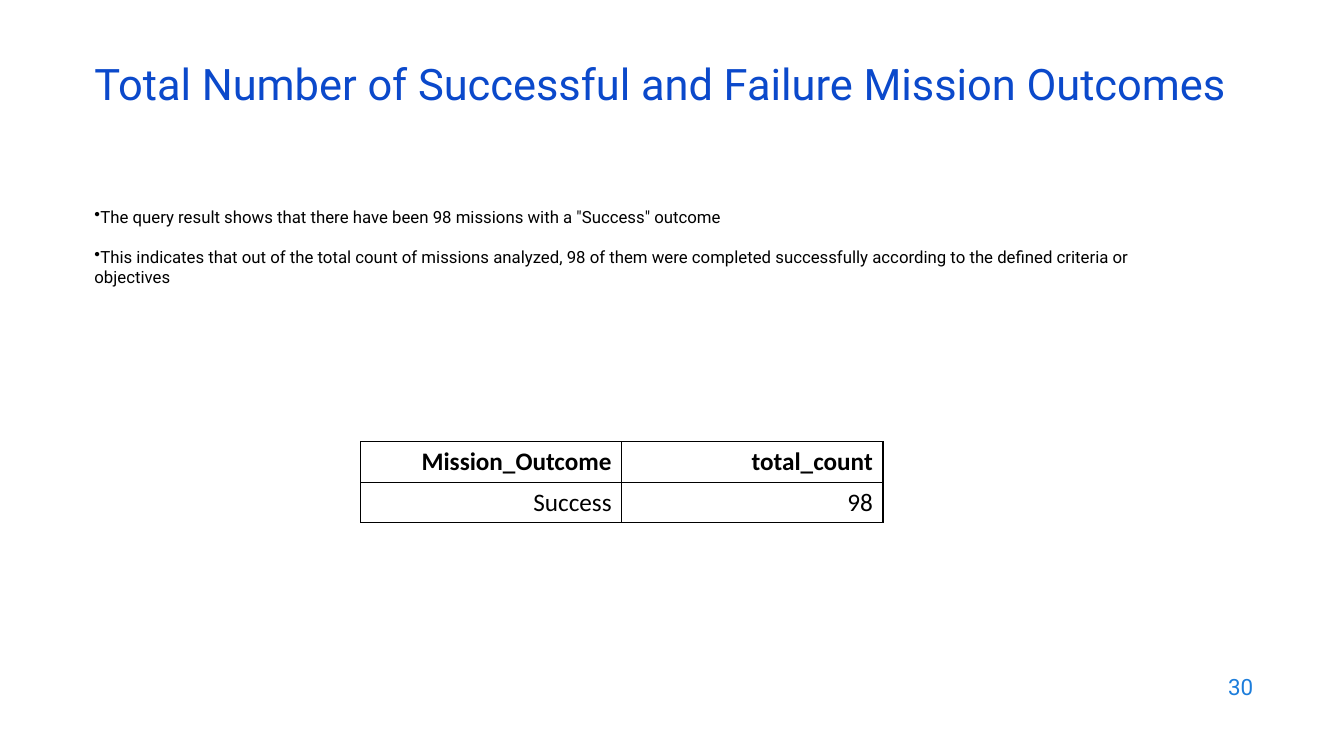
from dataclasses import dataclass

from lxml import etree
from pptx import Presentation
from pptx.dml.color import RGBColor
from pptx.enum.text import MSO_ANCHOR, PP_ALIGN
from pptx.oxml.ns import qn
from pptx.util import Cm, Pt

RIGHT = PP_ALIGN.RIGHT
TOP, MIDDLE = MSO_ANCHOR.TOP, MSO_ANCHOR.MIDDLE


@dataclass(frozen=True)
class Theme:
    text_font: str = "Roboto"
    table_font: str = "Calibri"
    title_color: str = "0B49CB"
    number_color: str = "1C7DDB"
    ink: str = "000000"
    title_size: int = 31
    body_size: int = 12
    table_size: int = 18
    number_size: int = 16
    border: int = 1


theme = Theme()


def add_text(left, top, width, height, lines, size, color, anchor=MIDDLE):
    """Add a wrapped text box with one paragraph per line; return its paragraphs."""
    tf = s.shapes.add_textbox(Cm(left), Cm(top), Cm(width), Cm(height)).text_frame
    tf.word_wrap = True
    tf.vertical_anchor = anchor
    tf.text = "\n".join(lines)
    for p in tf.paragraphs:
        style_runs(p, theme.text_font, size, color)
    return tf.paragraphs


def style_runs(p, name, size, color, bold=False):
    for r in p.runs:
        r.font.name = name
        r.font.size = Pt(size)
        r.font.bold = bold
        r.font.color.rgb = RGBColor.from_string(color)


prs = Presentation()
prs.slide_width, prs.slide_height = Cm(33.87), Cm(19.05)
s = prs.slides.add_slide(prs.slide_layouts[6])

# Title
title = add_text(2.13, 1.5, 29.21, 1.52,
                 ["Total Number of Successful and Failure Mission Outcomes"],
                 theme.title_size, theme.title_color)
title[0].line_spacing = 0.7

# Findings
findings = add_text(2.13, 5.08, 28.52, 12.09, [
    'The query result shows that there have been 98 missions with a "Success" outcome',
    "This indicates that out of the total count of missions analyzed, 98 of them were "
    "completed successfully according to the defined criteria or objectives",
], theme.body_size, theme.ink, TOP)
for i, p in enumerate(findings):
    pPr = p._p.get_or_add_pPr()
    pPr.set("marL", "0")
    pPr.set("indent", "0")
    etree.SubElement(pPr, qn("a:buChar")).set("char", "•")
    if i:
        p.space_before = Pt(14)

# Query result
rows = [["Mission_Outcome", "total_count"], ["Success", "98"]]
col_width, row_height = 6.58, 1.02
table = s.shapes.add_table(len(rows), len(rows[0]), Cm(9.09), Cm(11.13),
                           Cm(col_width * len(rows[0])), Cm(row_height * len(rows))).table
table.first_row = table.horz_banding = False
for y, row in enumerate(rows):
    for x, value in enumerate(row):
        cell = table.cell(y, x)
        cell.text = value
        cell.vertical_anchor = MIDDLE
        p = cell.text_frame.paragraphs[0]
        p.alignment = RIGHT
        style_runs(p, theme.table_font, theme.table_size, theme.ink, bold=y == 0)
        tcPr = cell._tc.get_or_add_tcPr()
        for side in ("a:lnL", "a:lnR", "a:lnT", "a:lnB"):
            ln = etree.SubElement(tcPr, qn(side), w=str(Pt(theme.border)))
            fill = etree.SubElement(ln, qn("a:solidFill"))
            etree.SubElement(fill, qn("a:srgbClr"), val=theme.ink)
        cell.fill.background()

# Slide number
number = add_text(24.21, 16.74, 7.62, 1.12, ["30"], theme.number_size, theme.number_color)
number[0].alignment = RIGHT

prs.save("out.pptx")
